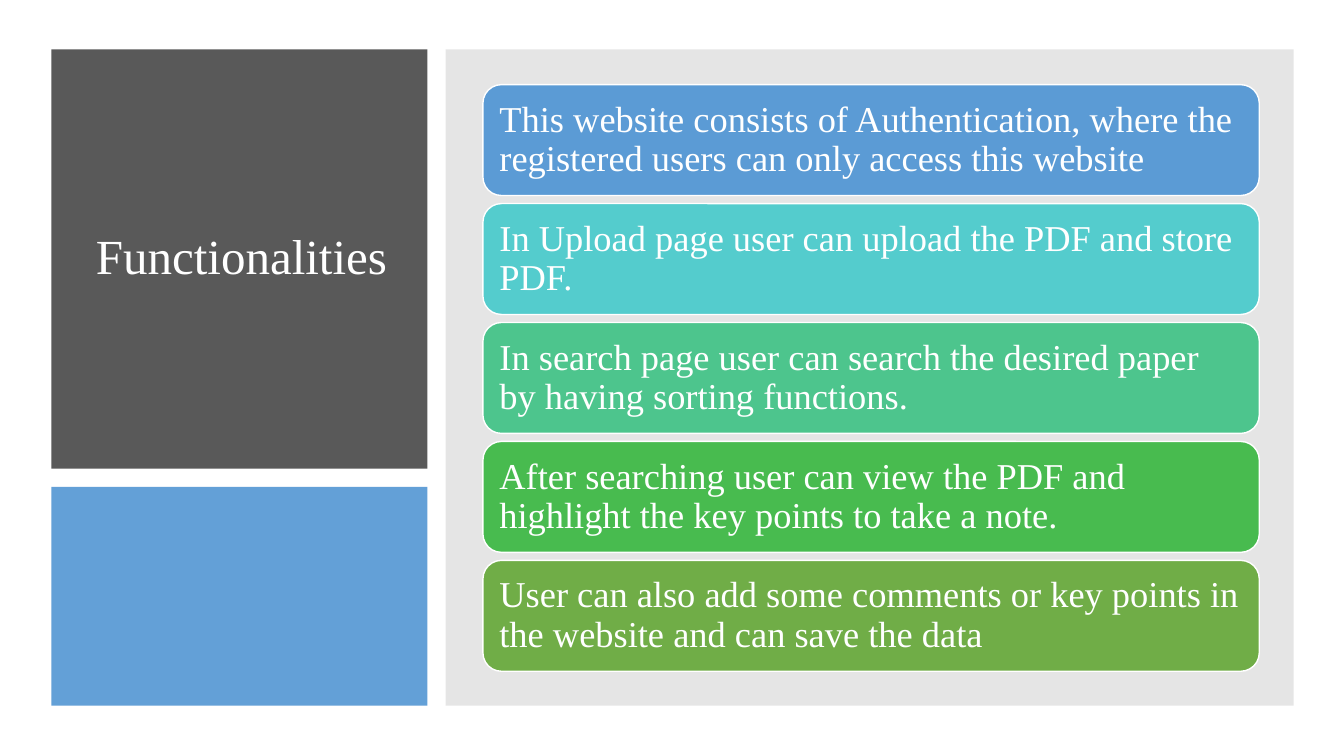
from lxml.etree import SubElement
from pptx import Presentation
from pptx.dml.color import RGBColor
from pptx.enum.shapes import MSO_SHAPE as Shape
from pptx.enum.text import MSO_ANCHOR as Anchor, MSO_AUTO_SIZE as AutoSize, PP_ALIGN as Align
from pptx.oxml.ns import qn
from pptx.util import Inches, Pt

FONT = "Times New Roman"
WHITE = "FFFFFF"
FUNCTIONALITIES = [
    ("This website consists of Authentication, where the registered users "
     "can only access this website", "5B9BD5"),
    ("In Upload page user can upload the PDF and store PDF.", "54CCCD"),
    ("In search page user can search the desired paper by having sorting functions.", "4DC58D"),
    ("After searching user can view the PDF and highlight the key points to take a note.",
     "48BB4F"),
    ("User can also add some comments or key points in the website and can save the data ",
     "70AD47"),
]


def paint(color_format, color):
    """Give a colour format a hex colour."""
    color_format.rgb = RGBColor.from_string(color)


def apply(target, values):
    """Set each attribute of the target from a dict of values."""
    for name, value in values.items():
        setattr(target, name, value)


def write(box, text, size, inset):
    """Write one left-aligned, vertically centred white paragraph."""
    frame = box.text_frame
    margins = {f"margin_{side}": Inches(inset) for side in ("left", "right", "top", "bottom")}
    apply(frame, {"word_wrap": True, "auto_size": AutoSize.NONE,
                  "vertical_anchor": Anchor.MIDDLE, **margins})
    para = frame.paragraphs[0]
    apply(para, {"alignment": Align.LEFT, "line_spacing": 0.9})
    span = para.add_run()
    span.text = text
    apply(span.font, {"name": FONT, "size": Pt(size)})
    paint(span.font.color, WHITE)


def add_block(page, kind, place, color, opacity=100):
    """Add a flat filled shape without outline or shadow."""
    block = page.shapes.add_shape(kind, *map(Inches, place))
    block.shadow.inherit = False
    block.fill.solid()
    paint(block.fill.fore_color, color)
    block.line.fill.background()
    if opacity < 100:
        tint = block.element.spPr.find(f"{qn('a:solidFill')}/{qn('a:srgbClr')}")
        SubElement(tint, qn("a:alpha"), val=str(opacity * 1000))
    return block


def add_card(page, top, text, color):
    """Add a rounded card with a white outline and its sentence."""
    card = add_block(page, Shape.ROUNDED_RECTANGLE, (4.79, top, 7.7, 1.1), color)
    card.line.fill.solid()
    paint(card.line.color, WHITE)
    card.line.width = Pt(1)
    write(card, text, 26, 0.11)


def place_title(page, backdrop, text):
    """Put the title placeholder just above its backdrop."""
    title = page.shapes.title
    apply(title, {"left": Inches(0.85), "top": Inches(0.8),
                  "width": Inches(3.11), "height": Inches(3.54)})
    write(title, text, 35, 0.1)
    backdrop.element.addnext(title.element)


def main():
    """Build the functionalities slide."""
    deck = Presentation()
    apply(deck, {"slide_width": Inches(13.33), "slide_height": Inches(7.5)})
    page = deck.slides.add_slide(deck.slide_layouts[5])
    backdrop = add_block(page, Shape.RECTANGLE, (0.51, 0.49, 3.73, 4.16), "595959")
    place_title(page, backdrop, "Functionalities")
    add_block(page, Shape.RECTANGLE, (0.51, 4.83, 3.73, 2.17), "5B9BD5", 95)
    add_block(page, Shape.RECTANGLE, (4.42, 0.49, 8.41, 6.51), "808080", 20)
    for row, (text, color) in enumerate(FUNCTIONALITIES):
        add_card(page, 0.84 + 1.18 * row, text, color)
    deck.save("out.pptx")


main()
